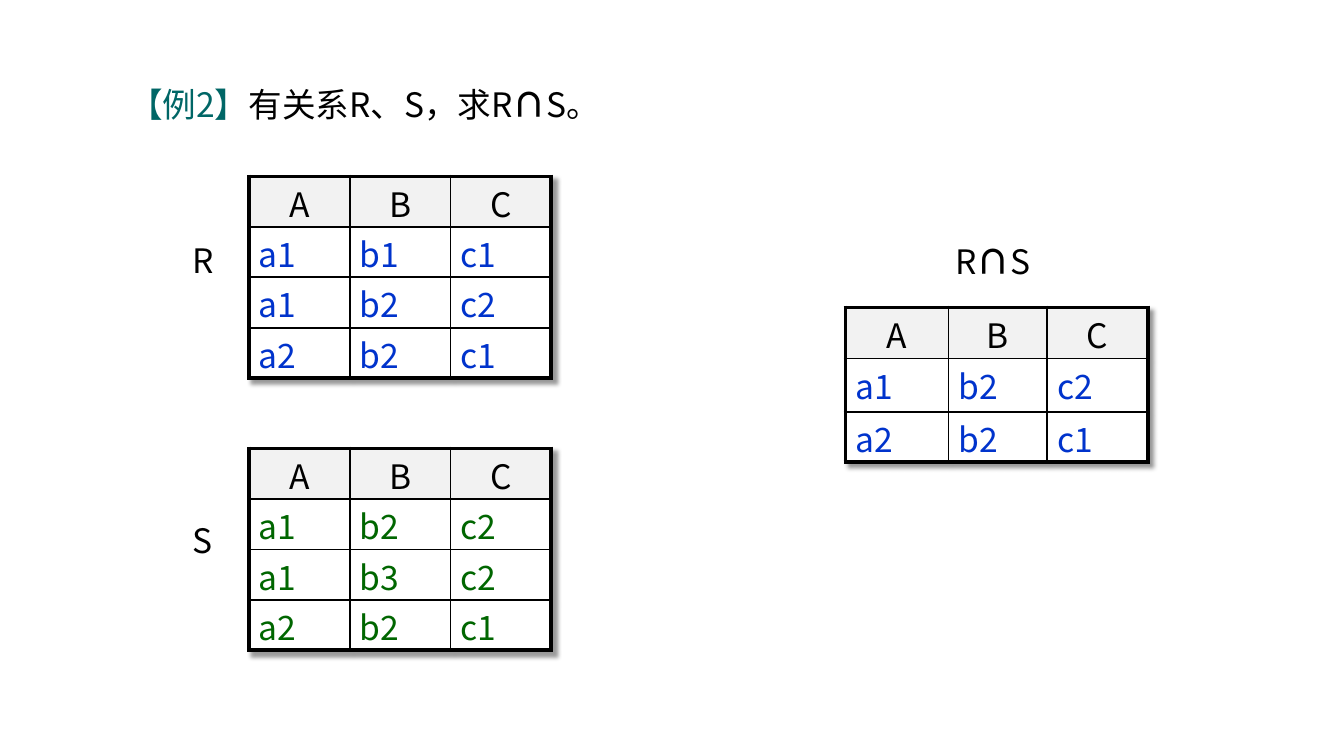
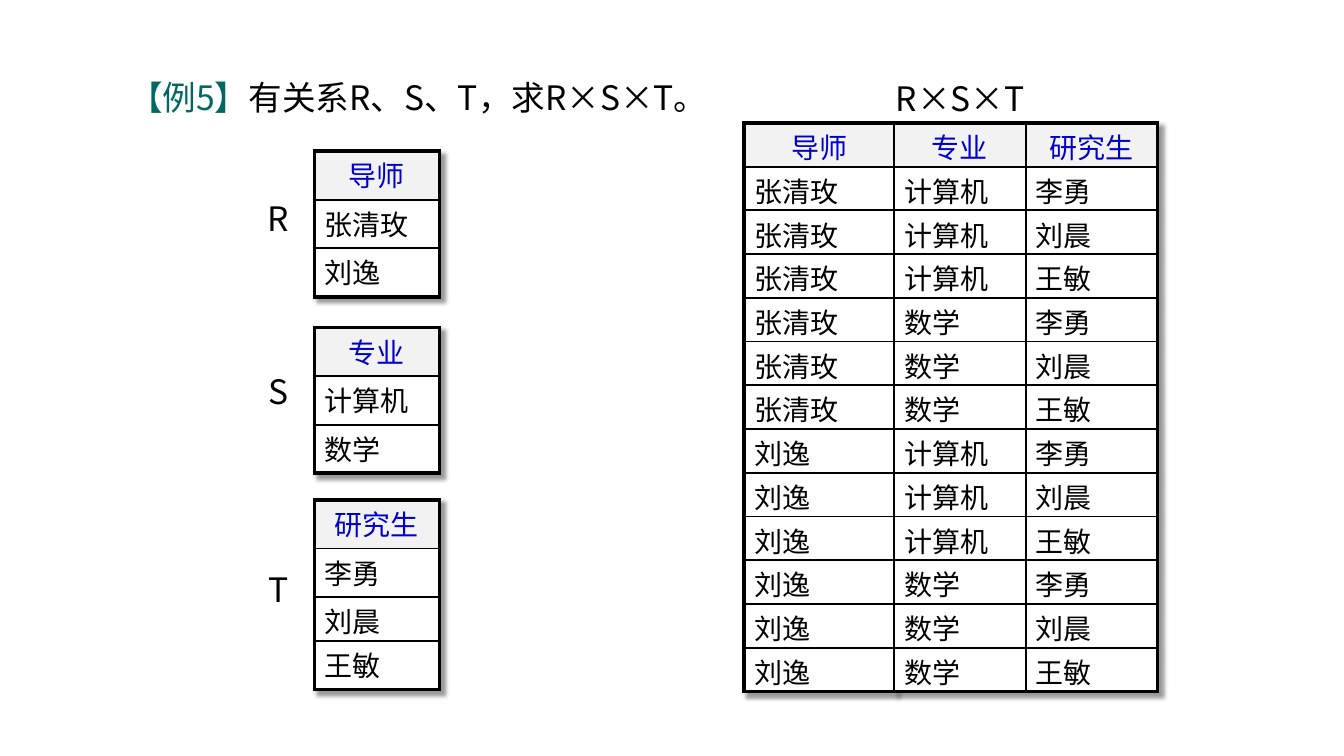
"""Build two slides of worked examples on relational set operations."""
from dataclasses import dataclass
from itertools import product

from lxml.etree import SubElement
from pptx import Presentation
from pptx.dml.color import RGBColor as Color
from pptx.enum.text import MSO_ANCHOR as Anchor, MSO_AUTO_SIZE as AutoSize, PP_ALIGN as Align
from pptx.oxml.ns import qn
from pptx.util import Pt


@dataclass(frozen=True)
class Theme:
    font: str = "Noto Sans CJK SC"
    black: str = "000000"
    teal: str = "006666"
    blue: str = "0033CC"
    green: str = "006600"
    heading_blue: str = "0000CC"
    header_fill: str = "F2F2F2"
    cell_fill: str = "FFFFFF"
    large: float = 24
    small: float = 20
    thick: float = 3
    thin: float = 1.5
    line_height: float = 1.2


THEME = Theme()
TITLE_LEFT, TITLE_WIDTH, TITLE_HEIGHT = 85, 505, 36
LABEL_WIDTH, LABEL_HEIGHT = 120, 60
LETTER_ROW, NAME_ROW, TIGHT_ROW = 36, 34.7, 31.2

TEACHERS = ["张清玫", "刘逸"]
MAJORS = ["计算机", "数学"]
STUDENTS = ["李勇", "刘晨", "王敏"]
COMBINATIONS = list(product(TEACHERS, MAJORS, STUDENTS))


def letters_table(left, top, rows, color, widths=(72, 72, 72), heights=None):
    """Describe a relation over the attributes A, B and C."""
    return {
        "left": left, "top": top, "header": "ABC", "rows": rows, "widths": widths,
        "heights": heights or [LETTER_ROW] * (len(rows) + 1), "size": THEME.large,
        "header_color": THEME.black, "color": color,
    }


def names_table(left, top, header, rows, widths, heights, thick_sides="LR"):
    """Describe a relation over people and majors."""
    return {
        "left": left, "top": top, "header": header, "rows": rows, "widths": widths,
        "heights": heights, "size": THEME.small, "header_color": THEME.heading_blue,
        "color": THEME.black, "thick_sides": thick_sides,
    }


def single_column(top, heading, names, heights=None):
    """Describe one of the stacked one-column relations."""
    heights = heights or [NAME_ROW] * (len(names) + 1)
    return names_table(224.6, top, [heading], [[name] for name in names], [89.3], heights)


TIGHT_ROWS = [TIGHT_ROW] * (len(COMBINATIONS) + 1)
SLIDES = [
    {
        "title": ["【例2】", "有关系R、S，求R", "∩", "S。"],
        "title_top": 56.5,
        "labels": [(["R"], 145, 185.8), (["S"], 145, 385.9), (["R", "∩", "S "], 712, 186.5)],
        "tables": [
            letters_table(177.8, 126, [("a1", "b1", "c1"), ("a1", "b2", "c2"),
                                       ("a2", "b2", "c1")], THEME.blue),
            letters_table(177.8, 320.4, [("a1", "b2", "c2"), ("a1", "b3", "c2"),
                                         ("a2", "b2", "c1")], THEME.green),
            letters_table(604, 219.6, [("a1", "b2", "c2"), ("a2", "b2", "c1")], THEME.blue,
                          (73.5, 70.5, 72), (36.5, 38, 36)),
        ],
    },
    {
        "title": ["【例5】", "有关系R、S、T，求R×S×T。"],
        "title_top": 51,
        "labels": [(["R"], 199, 155.5), (["S"], 199, 279.4), (["T"], 199, 420.5),
                   (["R×S×T"], 685.8, 70.2)],
        "tables": [
            single_column(108, "导师", TEACHERS),
            single_column(234, "专业", MAJORS),
            single_column(357.1, "研究生", STUDENTS, [NAME_ROW, NAME_ROW, TIGHT_ROW, NAME_ROW]),
            names_table(531.4, 87.8, ["导师"], [row[:1] for row in COMBINATIONS],
                        [107.3], TIGHT_ROWS, "L"),
            names_table(638.7, 87.8, ["专业", "研究生"], [row[1:] for row in COMBINATIONS],
                        [94, 94], TIGHT_ROWS, "R"),
        ],
    },
]


def write(paragraph, pieces, size, align):
    """Write (text, color) pieces, with the intersection sign in bold."""
    paragraph.alignment = align
    paragraph.font.size = Pt(size)
    paragraph.font.name = THEME.font
    paragraph.font.bold = False
    for text, color in pieces:
        run = paragraph.add_run()
        run.text = text
        run.font.color.rgb = Color.from_string(color)
        if text == "∩":
            run.font.bold = True
        SubElement(run.font._element, qn("a:ea"), typeface=THEME.font) if hasattr(
            run.font, "_element") else SubElement(
            run._r.get_or_add_rPr(), qn("a:ea"), typeface=THEME.font)


def add_title(slide, texts, top):
    """Fill the title placeholder, with the example number in teal."""
    title = slide.shapes.title
    title.left, title.top = Pt(TITLE_LEFT), Pt(top)
    title.width, title.height = Pt(TITLE_WIDTH), Pt(TITLE_HEIGHT)
    frame = title.text_frame
    frame.auto_size, frame.word_wrap = AutoSize.NONE, True
    frame.vertical_anchor = Anchor.MIDDLE
    colors = [THEME.teal] + [THEME.black] * (len(texts) - 1)
    write(frame.paragraphs[0], zip(texts, colors), THEME.large, Align.LEFT)


def add_label(slide, texts, center, middle):
    """Add a relation name centred on a point."""
    box = slide.shapes.add_textbox(Pt(center - LABEL_WIDTH / 2), Pt(middle - LABEL_HEIGHT / 2),
                                   Pt(LABEL_WIDTH), Pt(LABEL_HEIGHT))
    frame = box.text_frame
    frame.word_wrap = True
    frame.vertical_anchor = Anchor.MIDDLE
    pieces = [(text, THEME.black) for text in texts]
    write(frame.paragraphs[0], pieces, THEME.large, Align.CENTER)


def add_borders(cell, thick_sides):
    """Draw the four cell borders, thick on the given sides."""
    properties = cell._tc.get_or_add_tcPr()
    for side in "LRTB":
        width = THEME.thick if side in thick_sides else THEME.thin
        line = SubElement(properties, qn(f"a:ln{side}"), w=str(Pt(width)))
        SubElement(SubElement(line, qn("a:solidFill")), qn("a:srgbClr"), val=THEME.black)


def add_table_shadow(table):
    """Cast a soft shadow to the lower right and drop the preset style."""
    properties = table._tbl.tblPr
    for child in list(properties):
        properties.remove(child)
    effects = SubElement(properties, qn("a:effectLst"))
    shadow = SubElement(effects, qn("a:outerShdw"), blurRad=str(Pt(3)), dist=str(Pt(4)),
                        dir="2700000", algn="tl", rotWithShape="0")
    color = SubElement(shadow, qn("a:srgbClr"), val=THEME.black)
    SubElement(color, qn("a:alpha"), val="40000")
    style = SubElement(properties, qn("a:tableStyleId"))
    style.text = "{2D5ABB26-0587-4C30-8999-92F81FD0307C}"


def add_relation(slide, relation):
    """Add a relation as a table with a thick outer frame."""
    rows = [relation["header"], *relation["rows"]]
    widths, heights = relation["widths"], relation["heights"]
    table = slide.shapes.add_table(len(rows), len(widths), Pt(relation["left"]),
                                   Pt(relation["top"]), Pt(sum(widths)), Pt(sum(heights))).table
    table.first_row = table.horz_banding = False
    add_table_shadow(table)
    for column, width in zip(table.columns, widths):
        column.width = Pt(width)
    for row, height in zip(table.rows, heights):
        row.height = Pt(height)
    outer_sides = relation.get("thick_sides", "LR")
    last_row, last_column = len(rows) - 1, len(widths) - 1
    for row_index, values in enumerate(rows):
        is_header = row_index == 0
        for column_index, value in enumerate(values):
            cell = table.cell(row_index, column_index)
            at_edge = {"L": column_index == 0 and "L" in outer_sides,
                       "R": column_index == last_column and "R" in outer_sides,
                       "T": is_header, "B": row_index == last_row}
            add_borders(cell, [side for side, thick in at_edge.items() if thick])
            cell.fill.solid()
            cell.fill.fore_color.rgb = Color.from_string(
                THEME.header_fill if is_header else THEME.cell_fill)
            cell.margin_top, cell.margin_bottom = Pt(7.2), Pt(0)
            paragraph = cell.text_frame.paragraphs[0]
            paragraph.line_spacing = Pt(relation["size"] * THEME.line_height)
            color = relation["header_color"] if is_header else relation["color"]
            write(paragraph, [(value, color)], relation["size"],
                  Align.CENTER if is_header else Align.LEFT)


def main():
    """Build and save the presentation."""
    presentation = Presentation()
    presentation.slide_width, presentation.slide_height = Pt(960), Pt(540)
    for content in SLIDES:
        slide = presentation.slides.add_slide(presentation.slide_layouts[5])
        add_title(slide, content["title"], content["title_top"])
        for label in content["labels"]:
            add_label(slide, *label)
        for relation in content["tables"]:
            add_relation(slide, relation)
    presentation.save("out.pptx")


if __name__ == "__main__":
    main()
